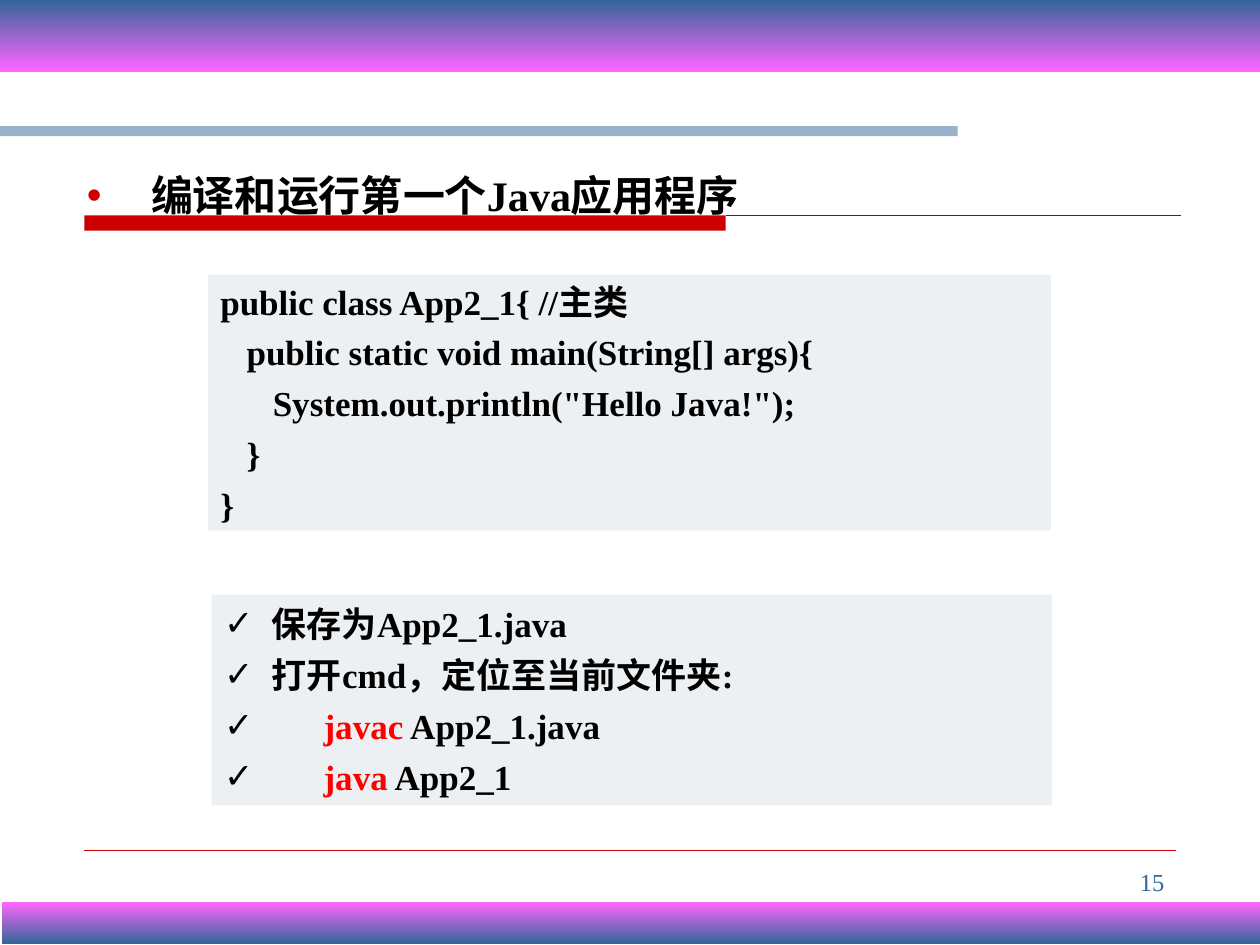
from lxml import etree
from pptx import Presentation
from pptx.dml.color import RGBColor
from pptx.enum.shapes import MSO_CONNECTOR, MSO_SHAPE
from pptx.enum.text import MSO_ANCHOR, PP_ALIGN
from pptx.oxml.ns import qn
from pptx.util import Inches, Pt

RECTANGLE = MSO_SHAPE.RECTANGLE
STRAIGHT = MSO_CONNECTOR.STRAIGHT
TOP = MSO_ANCHOR.TOP
MIDDLE = MSO_ANCHOR.MIDDLE
LEFT = PP_ALIGN.LEFT
RIGHT = PP_ALIGN.RIGHT

FONT = "Times New Roman"
BLACK = "000000"
RED = "CC0000"
KEYWORD_RED = "FF0000"
BLUE = "336699"
PINK = "FF66FF"
PANEL = "EDF0F3"
RULE = "333333"

CODE = [
    "public class App2_1{ //主类",
    "   public static void main(String[] args){",
    '      System.out.println("Hello Java!");',
    "   }",
    "}",
]
STEPS = [
    (0.38, [("保存为App2_1.java", BLACK)]),
    (0.38, [("打开cmd，定位至当前文件夹:", BLACK)]),
    (0.79, [("javac", KEYWORD_RED), (" App2_1.java", BLACK)]),
    (0.79, [("java", KEYWORD_RED), (" App2_1", BLACK)]),
]


def color(value):
    return RGBColor.from_string(value)


def add_rectangle(slide, box, fill=None):
    shape = slide.shapes.add_shape(RECTANGLE, *map(Inches, box))
    shape.shadow.inherit = False
    shape.line.fill.background()
    if fill:
        shape.fill.solid()
        shape.fill.fore_color.rgb = color(fill)
    return shape


def add_gradient_band(slide, box, top_color, bottom_color):
    fill = add_rectangle(slide, box).fill
    fill.gradient()
    fill.gradient_angle = 270
    for stop, value in zip(fill.gradient_stops, (top_color, bottom_color)):
        stop.color.rgb = color(value)


def add_rule(slide, left, right, top, line_color, width):
    connector = slide.shapes.add_connector(
        STRAIGHT, Inches(left), Inches(top), Inches(right), Inches(top))
    connector.line.color.rgb = color(line_color)
    connector.line.width = Pt(width)
    etree.SubElement(connector._element.spPr, qn("a:effectLst"))


def set_indent(paragraph, indent, bullet=None, bullet_color=BLACK):
    properties = paragraph._p.get_or_add_pPr()
    properties.set("marL", str(Inches(indent)))
    properties.set("indent", str(-Inches(indent)))
    if bullet:
        holder = etree.SubElement(properties, qn("a:buClr"))
        etree.SubElement(holder, qn("a:srgbClr"), val=bullet_color)
        etree.SubElement(properties, qn("a:buFont"), typeface="Arial")
        etree.SubElement(properties, qn("a:buChar"), char=bullet)


def add_run(paragraph, text, size, text_color=BLACK, bold=True):
    run = paragraph.add_run()
    run.text = text
    run.font.name = FONT
    run.font.size = Pt(size)
    run.font.bold = bold
    run.font.color.rgb = color(text_color)


def add_text_box(slide, box):
    text_frame = slide.shapes.add_textbox(*map(Inches, box)).text_frame
    text_frame.word_wrap = True
    text_frame.vertical_anchor = TOP
    return text_frame.paragraphs[0]


def add_title(slide, box):
    paragraph = add_text_box(slide, box)
    set_indent(paragraph, 0.51, "•", RED)
    paragraph.line_spacing = Pt(45)
    add_run(paragraph, "编译和运行第一个Java应用程序", 24)


def add_page_number(slide, box):
    paragraph = add_text_box(slide, box)
    paragraph.alignment = RIGHT
    add_run(paragraph, "15", 14, BLUE, bold=False)


def add_panel(slide, box, lines, bullet=None):
    text_frame = add_rectangle(slide, box, PANEL).text_frame
    text_frame.word_wrap = True
    text_frame.vertical_anchor = MIDDLE
    for index, (indent, parts) in enumerate(lines):
        paragraph = text_frame.add_paragraph() if index else text_frame.paragraphs[0]
        set_indent(paragraph, indent, bullet)
        paragraph.alignment = LEFT
        if index:
            paragraph.space_before = Pt(5)
        for text, text_color in parts:
            add_run(paragraph, text, 20, text_color)


def add_background(slide):
    add_rectangle(slide, (0.67, 1.71, 5.09, 0.12), RED)
    add_rule(slide, 5.76, 9.37, 1.71, RULE, 0.75)
    add_rule(slide, 0.67, 9.33, 6.75, RED, 0.25)
    stripe = add_rectangle(slide, (0, 1, 7.6, 0.08), BLUE)
    stripe_color = stripe._element.spPr.find(qn("a:solidFill"))[0]
    etree.SubElement(stripe_color, qn("a:alpha"), val="50000")
    add_gradient_band(slide, (0, 0, 10, 0.57), BLUE, PINK)
    add_gradient_band(slide, (0.02, 7.16, 10, 0.33), PINK, BLUE)


def main():
    presentation = Presentation()
    presentation.slide_width = Inches(10)
    presentation.slide_height = Inches(7.5)
    slide = presentation.slides.add_slide(presentation.slide_layouts[6])
    add_background(slide)
    add_title(slide, (0.59, 1.07, 6.22, 0.83))
    add_page_number(slide, (7.17, 6.83, 2.17, 0.52))
    add_panel(slide, (1.65, 2.18, 6.69, 2.03), [(0.38, [(line, BLACK)]) for line in CODE])
    add_panel(slide, (1.68, 4.72, 6.67, 1.67), STEPS, "✓")
    presentation.save("out.pptx")


if __name__ == "__main__":
    main()
